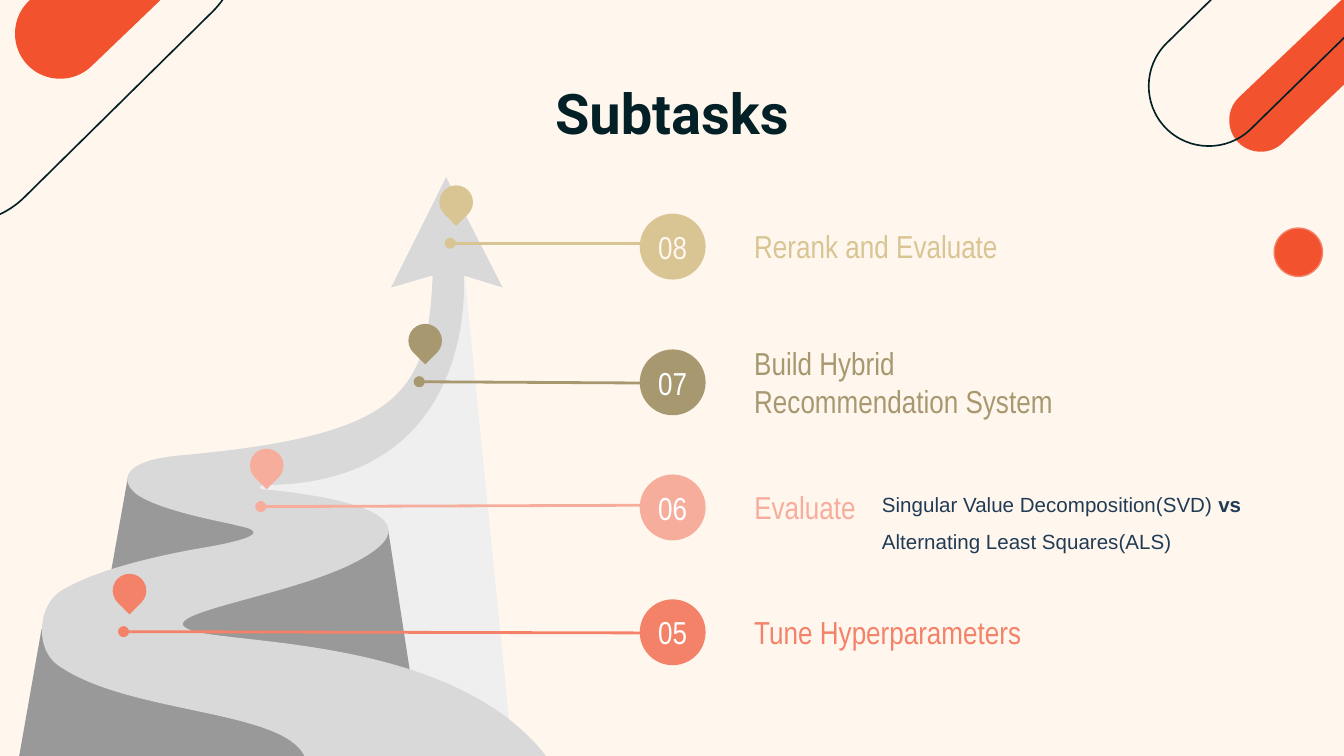
"""Build the Subtasks slide: a winding road with four numbered milestones."""
import math
from dataclasses import dataclass

import pptx
import pptx.util
import pptx.dml.color
import pptx.enum.shapes
import pptx.enum.text
import pptx.oxml.ns
from lxml import etree

Pt = pptx.util.Pt
RGB = pptx.dml.color.RGBColor
SHAPE = pptx.enum.shapes.MSO_SHAPE
ALIGN = pptx.enum.text.PP_ALIGN
ANCHOR = pptx.enum.text.MSO_ANCHOR
qn = pptx.oxml.ns.qn

CREAM = RGB(0xFF, 0xF6, 0xEE)
WHITE = RGB(0xFF, 0xFF, 0xFF)
INK = RGB(0x03, 0x20, 0x26)
NAVY = RGB(0x21, 0x3B, 0x55)
ORANGE = RGB(0xF2, 0x52, 0x2E)
CORAL = RGB(0xF3, 0x82, 0x68)
PINK = RGB(0xF7, 0xAD, 0x9B)
OLIVE = RGB(0xA7, 0x98, 0x70)
SAND = RGB(0xD8, 0xC5, 0x93)
PALE = RGB(0xEF, 0xEF, 0xEF)
LIGHT = RGB(0xD9, 0xD9, 0xD9)
GREY = RGB(0x99, 0x99, 0x99)

BADGE_X, BADGE_SIZE, LABEL_X, PIN_SIZE = 342.7, 35.3, 397, 18
KAPPA = 0.55


@dataclass
class Pill:
    start: tuple
    end: tuple
    radius: float
    fill: RGB = None
    line: RGB = None


@dataclass
class Milestone:
    number: str
    label: str
    color: RGB
    top: float
    start: tuple
    dot: tuple
    width: float
    number_color: RGB = WHITE


PILLS = [
    Pill((675.4, 64.4), (734.4, 8.3), 16.9, fill=ORANGE),
    Pill((647.6, 46.1), (717.5, -22.3), 32.2, line=INK),
    Pill((32.2, 18), (118.6, -64.8), 24.2, fill=ORANGE),
    Pill((-19.8, 72.4), (81, -27), 46.8, line=INK),
]

CLIFFS = [
    (PALE, [(248.4, 141.8), (231.8, 180.7), (229.7, 204.5), (196.6, 239.8),
            (126.7, 257.8), (148.3, 370.8), (274.3, 401.8)]),
    (GREY, [(68.4, 256.3), (57.6, 316.8), (144.7, 300.2), (144.7, 275)]),
    (GREY, [(208.1, 284.4), (103, 310.3), (82.1, 350.6), (221.8, 373.7)]),
    (GREY, [(22.3, 337), (-10.8, 524.9), (200.9, 457.2), (167.8, 380.2)]),
]

ROAD = [
    (239, 95), (209.5, 154.1), (231.8, 147.6),
    (229, 210.2, 216.7, 233.3, 95.8, 244.1),
    (64.8, 247, 64.1, 257.8, 73.4, 265),
    (87.1, 274.3, 122.4, 280.1, 126.7, 281.5),
    (133.9, 283, 151.9, 286.6, 103, 294.5),
    (64.8, 301.7, 43.9, 309.6, 32.4, 316.8),
    (20.2, 324.7, 18.7, 347.8, 31, 356.4),
    (72.7, 385.9, 171.4, 378.7, 164.2, 415.4),
    (154.8, 457.9, -61.9, 499, -61.9, 499),
    (-61.9, 599), (202.3, 599),
    (202.3, 599, 342, 471.6, 293.8, 406.8),
    (245.5, 341.3, 126, 345.6, 102.2, 337.7),
    (79.2, 329, 155.5, 319.7, 190.8, 301),
    (249.8, 270, 139.7, 262.1, 139.7, 262.1),
    (139, 261.4, 139, 259.9, 140.4, 259.9), (141.1, 259.9),
    (257.8, 259.9, 248.4, 147.6, 248.4, 147.6), (269.3, 154.1),
]

MILESTONES = [
    Milestone("07", "Build Hybrid Recommendation System", OLIVE, 187.2, (346.3, 205.2), (224.6, 204.5), 177.1),
    Milestone("06", "Evaluate", PINK, 254.2, (344.9, 270.7), (139.7, 271.4), 171.4),
    Milestone("05", "Tune Hyperparameters", CORAL, 321.1, (344.9, 339.1), (66.2, 338.4), 161.3),
    Milestone("08", "Rerank and Evaluate", SAND, 114.5, (348.5, 130.3), (241.2, 130.3), 161.3, CREAM),
]


def pill_outline(pill: Pill) -> list:
    (x1, y1), (x2, y2) = pill.start, pill.end
    length = math.dist(pill.start, pill.end)
    ux, uy = pill.radius * (x2 - x1) / length, pill.radius * (y2 - y1) / length
    outline = []
    for x, y, dx, dy in ((x1, y1, ux, uy), (x2, y2, -ux, -uy)):
        def at(along: float, across: float) -> tuple:
            return x + along * dx - across * dy, y + along * dy + across * dx

        outline += [at(0, 1),
                    at(-KAPPA, 1) + at(-1, KAPPA) + at(-1, 0),
                    at(-1, -KAPPA) + at(-KAPPA, -1) + at(0, -1)]
    return outline


def paint(sp, fill: RGB = None, line: RGB = None, width: float = 0.88) -> None:
    sp.shadow.inherit = False
    for fmt, color in ((sp.fill, fill), (sp.line.fill, line)):
        if color is None:
            fmt.background()
        else:
            fmt.solid()
            fmt.fore_color.rgb = color
    if line is not None:
        sp.line.width = Pt(width)


def add_outline(s, outline: list, fill: RGB = None, line: RGB = None) -> None:
    points = [(Pt(seg[i]), Pt(seg[i + 1])) for seg in outline for i in range(0, len(seg), 2)]
    builder = s.shapes.build_freeform(*points[0], scale=1.0)
    builder.add_line_segments(points[1:], close=True)
    sp = builder.convert_to_shape()
    segments = iter(list(sp.element.iter(qn("a:lnTo"))))
    for seg in outline[1:]:
        first = next(segments)
        if len(seg) == 6:
            first.tag = qn("a:cubicBezTo")
            for _ in range(2):
                extra = next(segments)
                first.append(extra[0])
                extra.getparent().remove(extra)
    paint(sp, fill, line)


def add_preset(s, kind, x: float, y: float, size: float, fill: RGB, line: RGB = None):
    sp = s.shapes.add_shape(kind, Pt(x), Pt(y), Pt(size), Pt(size))
    paint(sp, fill, line, 0.75)
    return sp


def write(sp, runs: list, size: float, font: str, color: RGB,
          align=ALIGN.LEFT, anchor=ANCHOR.MIDDLE, inset: float = 7.2):
    tf = sp.text_frame
    frame = dict(word_wrap=True, auto_size=pptx.enum.text.MSO_AUTO_SIZE.NONE, vertical_anchor=anchor)
    frame.update({f"margin_{side}": Pt(inset) for side in ("left", "right", "top", "bottom")})
    for name, value in frame.items():
        setattr(tf, name, value)
    p = tf.paragraphs[0]
    p.alignment = align
    for text, bold in runs:
        r = p.add_run()
        r.text = text
        r.font.color.rgb = color
        for name, value in dict(size=Pt(size), name=font, bold=bold).items():
            setattr(r.font, name, value)
    return p


def add_text(s, x: float, y: float, w: float, h: float, *args, **kwargs):
    return write(s.shapes.add_textbox(Pt(x), Pt(y), Pt(w), Pt(h)), *args, **kwargs)


def add_milestone(s, m: Milestone) -> None:
    sp = s.shapes.add_connector(pptx.enum.shapes.MSO_CONNECTOR.STRAIGHT, *map(Pt, m.start + m.dot))
    sp.line.color.rgb = m.color
    sp.line.width = Pt(1.5)
    props = sp.element.spPr
    etree.SubElement(props.find(qn("a:ln")), qn("a:tailEnd"), type="oval")
    etree.SubElement(props, qn("a:effectLst"))
    badge = add_preset(s, SHAPE.OVAL, BADGE_X, m.top, BADGE_SIZE, m.color)
    write(badge, [(m.number, False)], 17, "Arial Narrow", m.number_color, ALIGN.CENTER, inset=0)
    add_text(s, LABEL_X, m.top - 5, m.width, 44.6, [(m.label, False)], 17, "Arial Narrow", m.color)
    pin = add_preset(s, SHAPE.TEAR, m.dot[0] - 5.8, m.dot[1] - 31, PIN_SIZE, m.color)
    pin.rotation = 135


def main() -> None:
    prs = pptx.Presentation()
    prs.slide_width, prs.slide_height = Pt(720), Pt(405)
    s = prs.slides.add_slide(prs.slide_layouts[5])
    s.background.fill.solid()
    s.background.fill.fore_color.rgb = CREAM
    for pill in PILLS:
        add_outline(s, pill_outline(pill), pill.fill, pill.line)
    add_preset(s, SHAPE.OVAL, 682.6, 122.2, 25.9, ORANGE, CORAL)
    for color, outline in CLIFFS:
        add_outline(s, outline, color)
    add_outline(s, ROAD, LIGHT)
    title = s.shapes.title
    for name, value in dict(left=56.5, top=34.9, width=607, height=45.4).items():
        setattr(title, name, Pt(value))
    write(title, [("Subtasks", True)], 30, "Roboto", INK, ALIGN.CENTER, ANCHOR.TOP)
    for m in MILESTONES:
        add_milestone(s, m)
    runs = [("Singular Value Decomposition(SVD) ", False), ("vs ", True), ("Alternating Least Squares(ALS)", False)]
    p = add_text(s, 429.4, 249.8, 259.9, 59.8, runs, 11, "Arial", NAVY, anchor=ANCHOR.TOP)
    p.line_spacing = 1.5
    p._p.get_or_add_pPr().set("marL", str(Pt(36)))
    prs.save("out.pptx")


if __name__ == "__main__":
    main()
